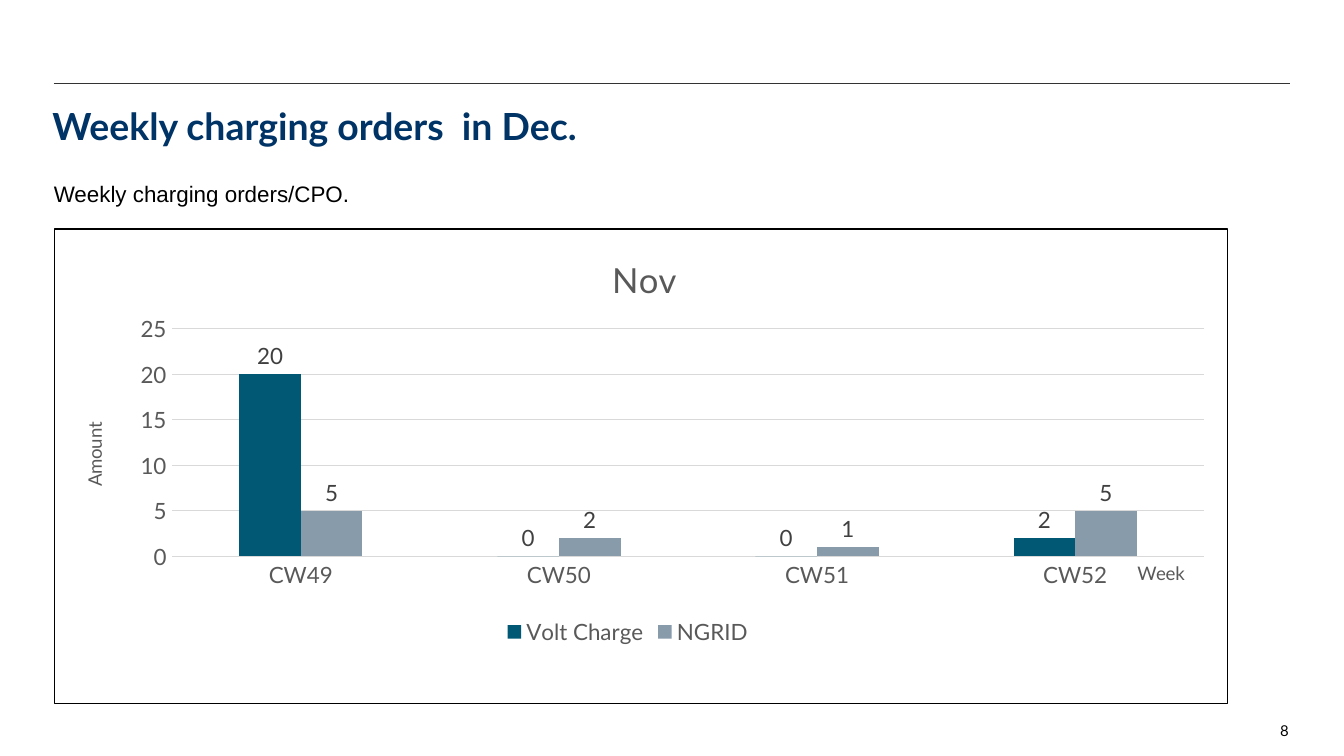
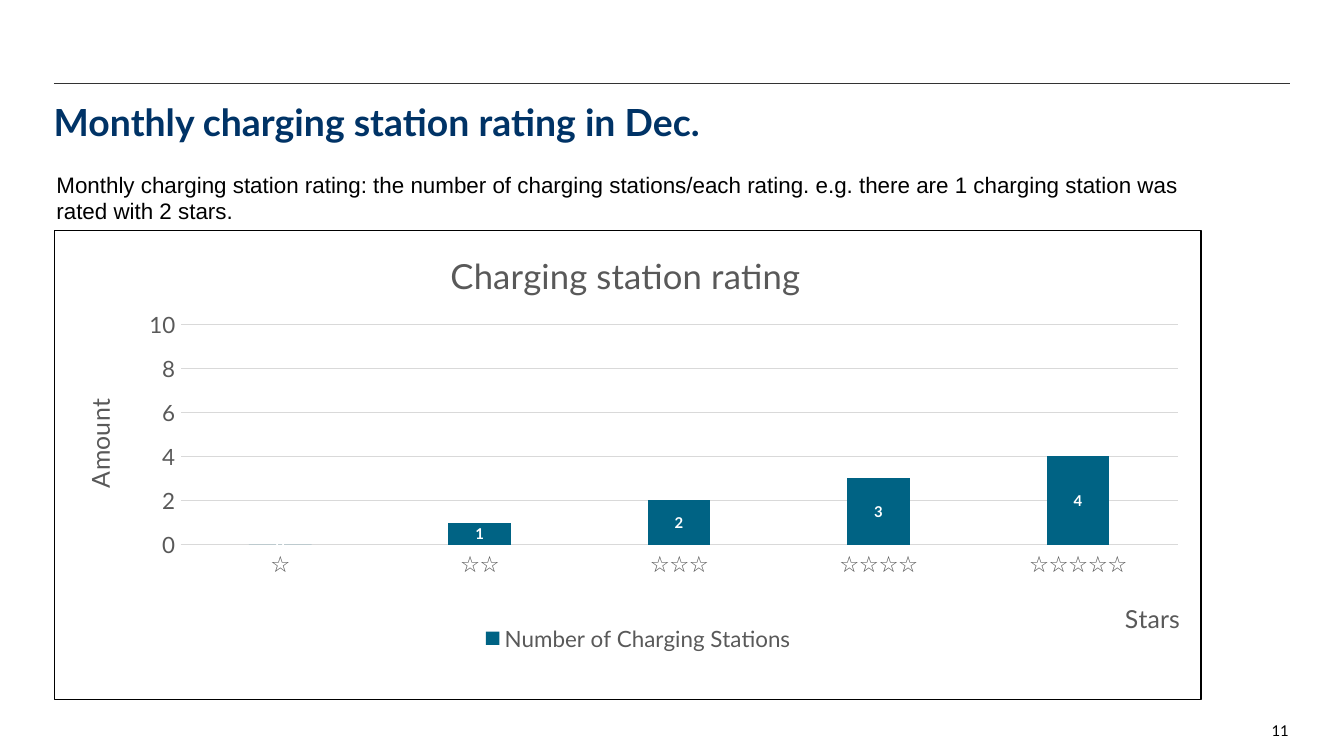
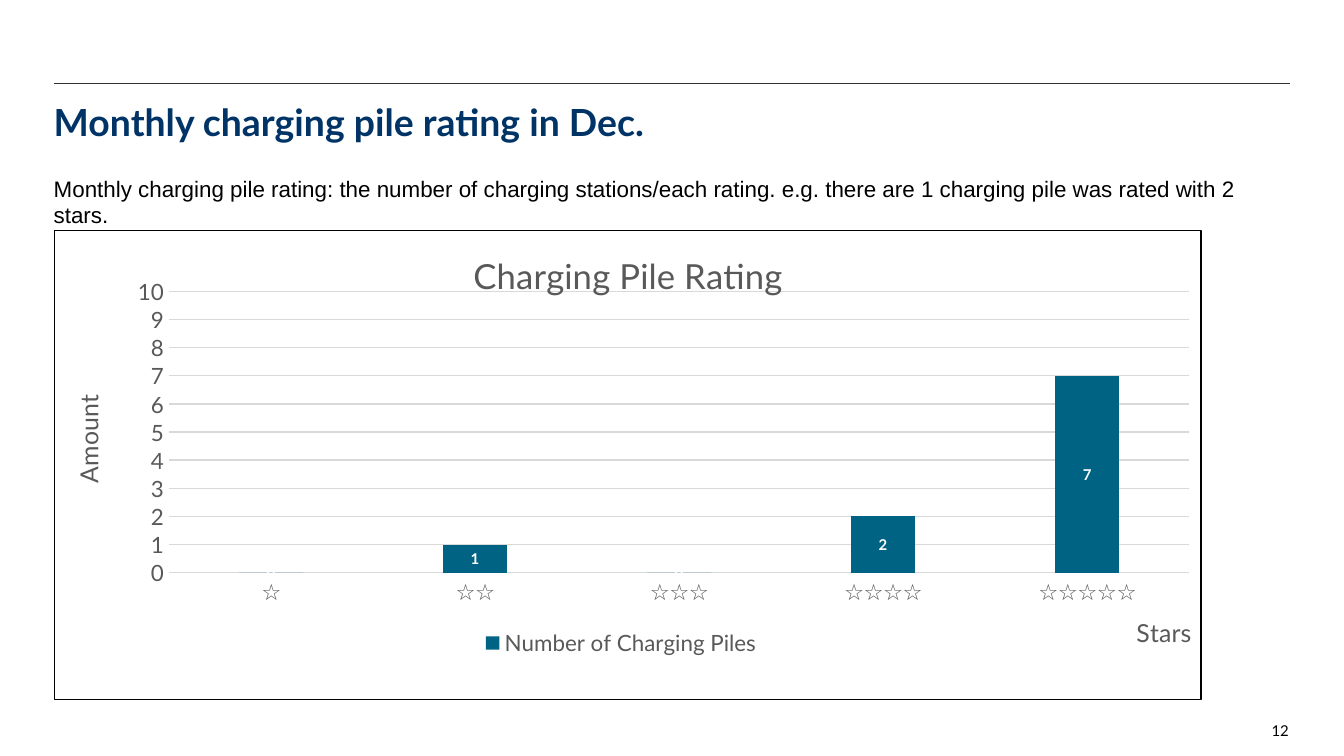
from dataclasses import dataclass

from lxml.etree import SubElement
from pptx import Presentation
from pptx.chart.axis import CategoryAxis, ValueAxis
from pptx.chart.chart import Chart
from pptx.chart.data import CategoryChartData
from pptx.chart.series import BarSeries
from pptx.dml.color import RGBColor
from pptx.enum.chart import XL_CHART_TYPE, XL_LABEL_POSITION, XL_LEGEND_POSITION, XL_TICK_MARK
from pptx.enum.shapes import MSO_CONNECTOR
from pptx.enum.text import PP_ALIGN
from pptx.oxml import parse_xml
from pptx.oxml.ns import nsdecls, qn
from pptx.slide import Slide
from pptx.text.text import Font, TextFrame
from pptx.util import Inches, Pt

COLORS = {
    "title": "003366",
    "text": "000000",
    "rule": "333333",
    "axis": "595959",
    "grid": "D9D9D9",
    "label": "404040",
    "white": "FFFFFF",
    "teal": "005875",
    "slate": "879BAB",
    "rating": "006384",
}
HEADING_FONT = "Lato"
BODY_FONT = "Arial"
STARS = ["☆" * count for count in range(1, 6)]


@dataclass(frozen=True)
class Area:
    left: float
    top: float
    width: float
    height: float


@dataclass(frozen=True)
class TextStyle:
    size: float
    color: str
    font: str = HEADING_FONT
    bold: bool = False
    align: PP_ALIGN = PP_ALIGN.LEFT


@dataclass(frozen=True)
class SeriesData:
    name: str
    values: tuple[int, ...]
    color: str


@dataclass(frozen=True)
class ChartLayout:
    """Positions inside the chart, as fractions of its width and height."""
    title: tuple[float, ...]
    plot: tuple[float, ...]
    category_title: tuple[float, ...]
    value_title: tuple[float, ...]
    legend: tuple[float, ...]


@dataclass(frozen=True)
class ChartStyle:
    kind: XL_CHART_TYPE
    overlap: int
    axis_title_size: float
    label: TextStyle
    label_position: XL_LABEL_POSITION


@dataclass(frozen=True)
class ColumnChart:
    title: str
    area: Area
    categories: list[str]
    category_title: str
    series: list[SeriesData]
    style: ChartStyle
    layout: ChartLayout
    step: int
    maximum: int | None = None


@dataclass(frozen=True)
class ReportPage:
    number: int
    title: str
    title_area: Area
    summary: str
    summary_area: Area
    chart: ColumnChart


TITLE = TextStyle(20, "title", bold=True)
SUMMARY = TextStyle(12, "text", BODY_FONT)
PAGE_NUMBER = TextStyle(8, "text", align=PP_ALIGN.RIGHT)
CHART_TITLE = TextStyle(18.6, "axis")
AXIS_TEXT = TextStyle(12, "axis")

ORDERS_STYLE = ChartStyle(
    XL_CHART_TYPE.COLUMN_CLUSTERED, 0, 10,
    TextStyle(12, "label"), XL_LABEL_POSITION.OUTSIDE_END,
)
RATING_STYLE = ChartStyle(
    XL_CHART_TYPE.COLUMN_STACKED, 100, 13.3,
    TextStyle(8, "white", bold=True), XL_LABEL_POSITION.CENTER,
)
RATING_TITLE_AREA = Area(0.4, 0.74, 9.2, 0.56)
RATING_CHART_AREA = Area(0.4, 1.71, 8.54, 3.5)

PAGES = [
    ReportPage(
        8, "Weekly charging orders  in Dec.", Area(0.39, 0.77, 9.2, 0.56),
        "Weekly charging orders/CPO.", Area(0.4, 1.34, 8.98, 0.47),
        ColumnChart(
            "Nov", Area(0.4, 1.7, 8.74, 3.54),
            [f"CW{week}" for week in range(49, 53)], "Week",
            [SeriesData("Volt Charge", (20, 0, 0, 2), "teal"),
             SeriesData("NGRID", (5, 2, 1, 5), "slate")],
            ORDERS_STYLE,
            ChartLayout((0.47, 0.04), (0.1, 0.21, 0.88, 0.48),
                        (0.92, 0.69), (0.02, 0.4), (0.38, 0.81)),
            step=5,
        ),
    ),
    ReportPage(
        11, "Monthly charging station rating in Dec.", RATING_TITLE_AREA,
        "Monthly charging station rating: the number of charging stations/each rating. "
        "e.g. there are 1 charging station was rated with 2 stars.",
        Area(0.42, 1.27, 8.6, 0.44),
        ColumnChart(
            "Charging station rating", RATING_CHART_AREA, STARS, "Stars",
            [SeriesData("Number of Charging Stations", (0, 1, 2, 3, 4), "rating")],
            RATING_STYLE,
            ChartLayout((0.34, 0.03), (0.11, 0.2, 0.87, 0.47),
                        (0.93, 0.78), (0.02, 0.35), (0.37, 0.83)),
            step=2, maximum=10,
        ),
    ),
    ReportPage(
        12, "Monthly charging pile rating in Dec.", RATING_TITLE_AREA,
        "Monthly charging pile rating: the number of charging stations/each rating. "
        "e.g. there are 1 charging pile was rated with 2 stars.",
        Area(0.4, 1.3, 9.06, 0.2),
        ColumnChart(
            "Charging Pile Rating", RATING_CHART_AREA, STARS, "Stars",
            [SeriesData("Number of Charging Piles", (0, 1, 0, 2, 7), "rating")],
            RATING_STYLE,
            ChartLayout((0.36, 0.03), (0.1, 0.13, 0.89, 0.6),
                        (0.94, 0.81), (0.01, 0.34), (0.37, 0.84)),
            step=1, maximum=10,
        ),
    ),
]


def rgb(name: str) -> RGBColor:
    return RGBColor.from_string(COLORS[name])


def inches(area: Area) -> tuple[Inches, ...]:
    return tuple(Inches(value) for value in (area.left, area.top, area.width, area.height))


def apply_style(font: Font, style: TextStyle) -> None:
    font.name = style.font
    font.size = Pt(style.size)
    font.bold = style.bold
    font.color.rgb = rgb(style.color)


def write(frame: TextFrame, text: str, style: TextStyle) -> None:
    para = frame.paragraphs[0]
    para.alignment = style.align
    span = para.add_run()
    span.text = text
    apply_style(span.font, style)


def add_text(page: Slide, area: Area, text: str, style: TextStyle) -> None:
    frame = page.shapes.add_textbox(*inches(area)).text_frame
    frame.word_wrap = True
    frame.margin_left = frame.margin_top = frame.margin_right = frame.margin_bottom = 0
    write(frame, text, style)


def add_top_rule(page: Slide) -> None:
    rule = page.shapes.add_connector(
        MSO_CONNECTOR.STRAIGHT, Inches(0.4), Inches(0.62), Inches(9.6), Inches(0.62))
    rule.line.color.rgb = rgb("rule")
    rule.line.width = Pt(0.75)
    SubElement(rule._element.spPr, qn("a:effectLst"))


def place(element, index: int, position: tuple[float, ...]) -> None:
    """Give a chart part a manual layout as its child number index."""
    for old in element.findall(qn("c:layout")):
        element.remove(old)
    layout = parse_xml(f"<c:layout {nsdecls('c')}/>")
    manual = SubElement(layout, qn("c:manualLayout"))
    if len(position) == 4:
        SubElement(manual, qn("c:layoutTarget")).set("val", "inner")
    for name in ("xMode", "yMode"):
        SubElement(manual, qn(f"c:{name}")).set("val", "edge")
    for name, value in zip("xywh", position):
        SubElement(manual, qn(f"c:{name}")).set("val", str(value))
    element.insert(index, layout)


def add_border(chart: Chart) -> None:
    border = parse_xml(
        f"<c:spPr {nsdecls('c', 'a')}><a:noFill/><a:ln w=\"{Pt(0.75)}\"><a:solidFill>"
        f"<a:srgbClr val=\"{COLORS['text']}\"/></a:solidFill></a:ln></c:spPr>")
    chart.element.find(qn("c:txPr")).addprevious(border)


def style_axis(axis: CategoryAxis | ValueAxis, title: str, size: float,
               position: tuple[float, ...]) -> None:
    axis.major_tick_mark = axis.minor_tick_mark = XL_TICK_MARK.NONE
    apply_style(axis.tick_labels.font, AXIS_TEXT)
    write(axis.axis_title.text_frame, title, TextStyle(size, "axis"))
    place(axis.axis_title._element, 1, position)


def style_series(series: BarSeries, color: str, style: ChartStyle) -> None:
    series.format.fill.solid()
    series.format.fill.fore_color.rgb = rgb(color)
    series.invert_if_negative = False
    labels = series.data_labels
    labels.show_value = True
    labels.position = style.label_position
    apply_style(labels.font, style.label)


def add_column_chart(page: Slide, content: ColumnChart) -> None:
    data = CategoryChartData()
    data.categories = content.categories
    for entry in content.series:
        data.add_series(entry.name, entry.values)
    style, layout = content.style, content.layout
    chart = page.shapes.add_chart(style.kind, *inches(content.area), data).chart
    apply_style(chart.font, TextStyle(10, "text"))
    add_border(chart)

    chart.has_title = True
    write(chart.chart_title.text_frame, content.title, CHART_TITLE)
    place(chart.chart_title._element, 1, layout.title)

    chart.has_legend = True
    chart.legend.position = XL_LEGEND_POSITION.BOTTOM
    chart.legend.include_in_layout = False
    apply_style(chart.legend.font, AXIS_TEXT)
    place(chart.legend._element, 1, layout.legend)

    plot = chart.plots[0]
    plot.gap_width = 219
    plot.overlap = style.overlap
    plot.vary_by_categories = False
    for series, entry in zip(plot.series, content.series):
        style_series(series, entry.color, style)
    place(chart.element.find(f".//{qn('c:plotArea')}"), 0, layout.plot)

    categories, values = chart.category_axis, chart.value_axis
    style_axis(categories, content.category_title, style.axis_title_size, layout.category_title)
    style_axis(values, "Amount", style.axis_title_size, layout.value_title)
    value_body = values.axis_title._element.find(f".//{qn('a:bodyPr')}")
    value_body.set("rot", "-5400000")
    value_body.set("vert", "horz")
    values.minimum_scale = 0
    values.maximum_scale = content.maximum
    values.major_unit = content.step
    values.format.line.fill.background()
    for line in (categories.format.line, values.major_gridlines.format.line):
        line.color.rgb = rgb("grid")
        line.width = Pt(0.75)


def main() -> None:
    deck = Presentation()
    deck.slide_width = Inches(10)
    deck.slide_height = Inches(10) * 9 // 16
    for report in PAGES:
        page = deck.slides.add_slide(deck.slide_layouts[6])
        add_top_rule(page)
        add_text(page, report.title_area, report.title, TITLE)
        add_text(page, Area(8.85, 5.37, 0.74, 0.15), str(report.number), PAGE_NUMBER)
        add_column_chart(page, report.chart)
        add_text(page, report.summary_area, report.summary, SUMMARY)
    deck.save("out.pptx")


if __name__ == "__main__":
    main()
